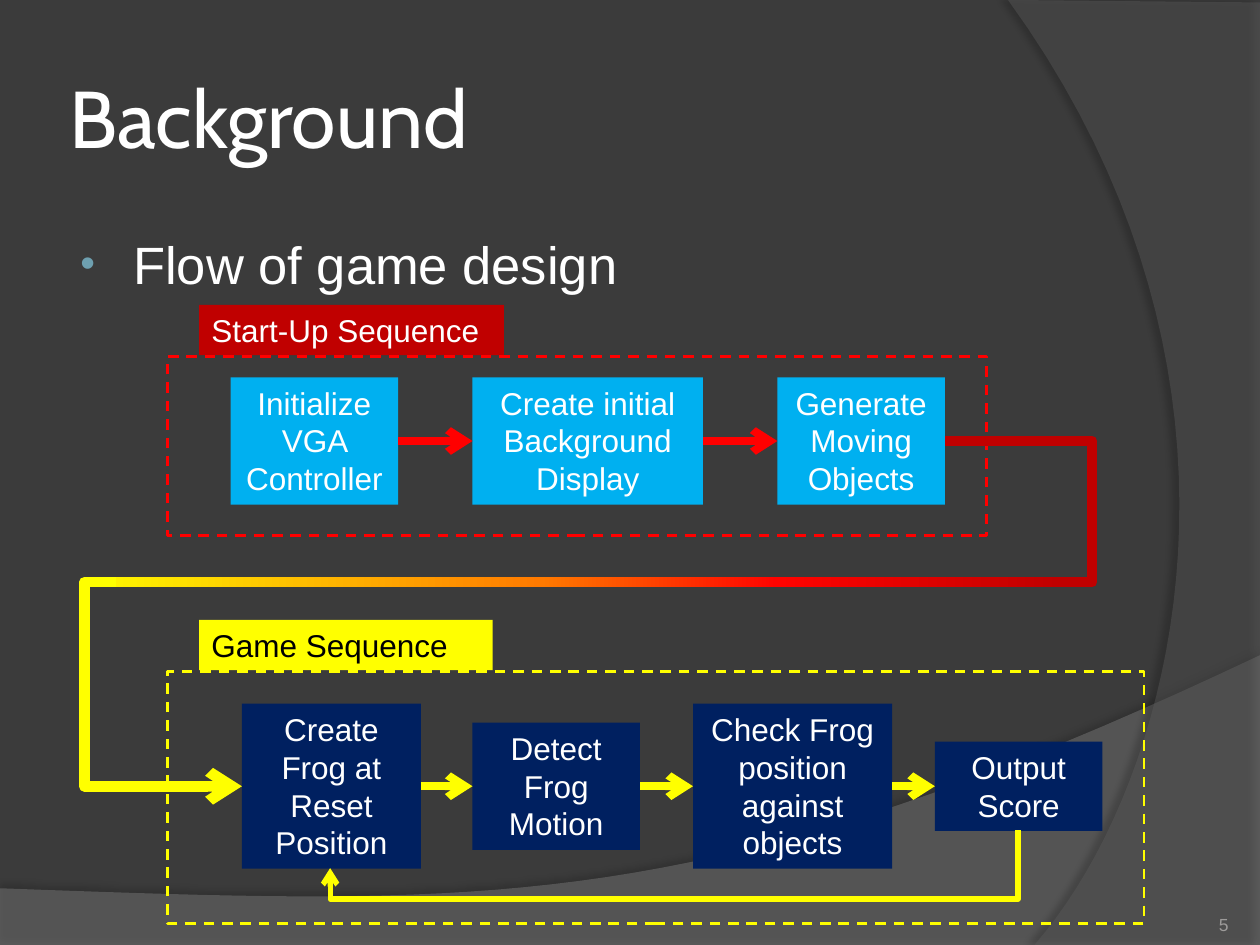
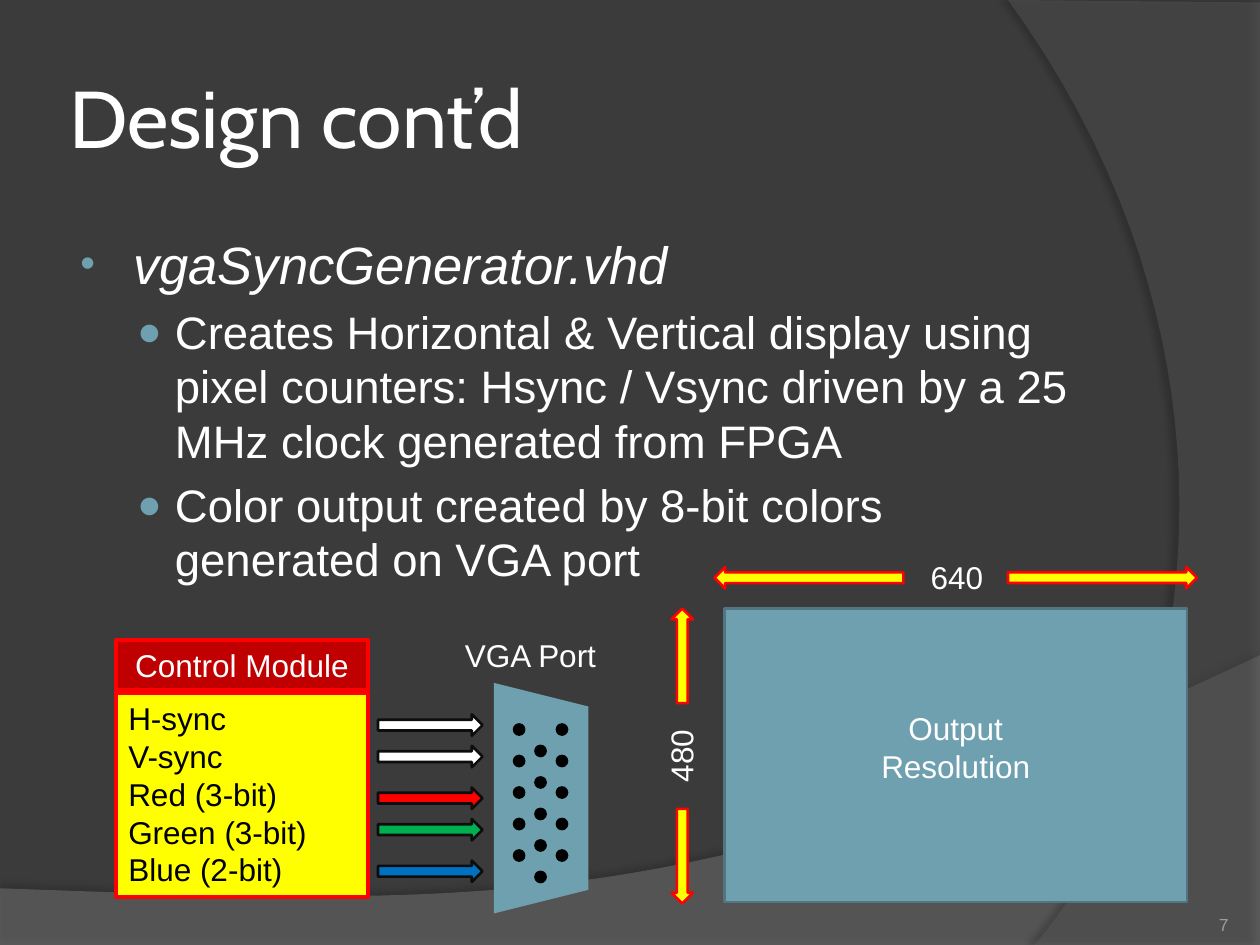
from dataclasses import dataclass
from itertools import pairwise
from typing import NamedTuple

from lxml.etree import SubElement
from pptx import Presentation
from pptx.dml.color import RGBColor
from pptx.enum.dml import MSO_LINE
from pptx.enum.shapes import MSO_CONNECTOR, MSO_SHAPE
from pptx.enum.text import MSO_ANCHOR, PP_ALIGN
from pptx.oxml.ns import qn
from pptx.util import Inches, Pt


@dataclass(frozen=True)
class Theme:
    back: str = "3B3B3B"
    swoosh_low: str = "7F7F7F"
    swoosh_right: str = "5E5E5E"
    white: str = "FFFFFF"
    black: str = "000000"
    outline: str = "0D0D0D"
    red: str = "FF0000"
    dark_red: str = "C00000"
    yellow: str = "FFFF00"
    green: str = "00B050"
    blue: str = "0070C0"
    sky: str = "00B0F0"
    navy: str = "002060"
    teal: str = "6EA0B0"
    teal_edge: str = "517682"
    number: str = "9D9B9A"
    font: str = "Arial"
    title_font: str = "Cabin"
    title_size: float = 46
    label_size: float = 18
    number_size: float = 10


T = Theme()


class Box(NamedTuple):
    x: float
    y: float
    w: float
    h: float

    def emu(self) -> list:
        return [Inches(v) for v in self]


class Step(NamedTuple):
    text: str
    x: float
    w: float
    h: float


class Arrow(NamedTuple):
    box: Box
    fill: str
    line: str
    rotation: int = 0


class Level(NamedTuple):
    size: float
    left: float
    hanging: float
    bullet: str
    bullet_pct: int


class Item(NamedTuple):
    text: str
    level: int = 0
    italic: bool = False


LEVELS = (Level(30, 0.46, 0.42, "•", 80), Level(26, 0.79, 0.3, "●", 90))


def rgb(color: str) -> RGBColor:
    return RGBColor.from_string(color)


# Text
def style(p, size: float, color: str, font: str = T.font, italic: bool = False) -> None:
    for r in p.runs:
        r.font.size, r.font.name, r.font.italic = Pt(size), font, italic
        r.font.color.rgb = rgb(color)


def write(sp, text: str, size: float = T.label_size, color: str = T.white,
          align=PP_ALIGN.CENTER, font: str = T.font, anchor=MSO_ANCHOR.TOP):
    tf = sp.text_frame
    tf.word_wrap = True
    tf.vertical_anchor = anchor
    tf.text = text
    for p in tf.paragraphs:
        p.alignment = align
        style(p, size, color, font)
    return tf


def add_label(slide, box: Box, text: str, rotation: int = 0) -> None:
    sp = slide.shapes.add_textbox(*box.emu())
    sp.rotation = rotation
    write(sp, text)


def add_bullets(slide, items: list[Item]) -> None:
    sp = slide.shapes.add_textbox(*Box(0.5, 1.75, 8.17, 4.95).emu())
    tf = sp.text_frame
    tf.word_wrap = True
    tf.margin_top = Inches(0.09)
    for i, item in enumerate(items):
        level = LEVELS[item.level]
        p = tf.paragraphs[0] if i == 0 else tf.add_paragraph()
        p.text = item.text
        p.level = item.level
        if i:
            p.space_before = Pt(level.size * 0.2)
        pPr = p._p.get_or_add_pPr()
        pPr.set("marL", str(Inches(level.left)))
        pPr.set("indent", str(-Inches(level.hanging)))
        SubElement(SubElement(pPr, qn("a:buClr")), qn("a:srgbClr"), val=T.teal)
        SubElement(pPr, qn("a:buSzPct"), val=str(level.bullet_pct * 1000))
        SubElement(pPr, qn("a:buFont"), typeface=T.font)
        SubElement(pPr, qn("a:buChar"), char=level.bullet)
        style(p, level.size, T.white, italic=item.italic)


# Shapes and lines
def paint(sp, fill: str | None, line: str | None = None, width: float = 1.5) -> None:
    sp.shadow.inherit = False
    if fill:
        sp.fill.solid()
        sp.fill.fore_color.rgb = rgb(fill)
    else:
        sp.fill.background()
    if line:
        sp.line.color.rgb = rgb(line)
        sp.line.width = Pt(width)
    else:
        sp.line.fill.background()


def add_shape(slide, kind, box: Box, fill: str | None, line: str | None = None,
              width: float = 1.5, rotation: int = 0):
    sp = slide.shapes.add_shape(kind, *box.emu())
    paint(sp, fill, line, width)
    sp.rotation = rotation
    return sp


def add_arrow(slide, arrow: Arrow) -> None:
    add_shape(slide, MSO_SHAPE.RIGHT_ARROW, arrow.box, arrow.fill, arrow.line,
              rotation=arrow.rotation)


def add_line(slide, start: tuple, end: tuple, color: str, width: float,
             head: bool = True, bend: float | None = None, rotation: int = 0):
    kind = MSO_CONNECTOR.STRAIGHT if bend is None else MSO_CONNECTOR.ELBOW
    c = slide.shapes.add_connector(kind, *(Inches(v) for v in start + end))
    c.line.color.rgb = rgb(color)
    c.line.width = Pt(width)
    spPr = c._element.spPr
    if head:
        SubElement(c.line._get_or_add_ln(), qn("a:tailEnd"), type="arrow")
    SubElement(spPr, qn("a:effectLst"))
    if bend is not None:
        guides = spPr.find(qn("a:prstGeom")).get_or_add_avLst()
        SubElement(guides, qn("a:gd"), name="adj1", fmla=f"val {round(bend * 100000)}")
    if rotation:
        spPr.find(qn("a:xfrm")).set("rot", str(rotation * 60000))
    return c


def add_chain(slide, steps: list[Step], middle: float, fill: str, color: str) -> None:
    """Draw a row of boxes centred on one height, joined by arrows."""
    boxes = []
    for s in steps:
        sp = add_shape(slide, MSO_SHAPE.RECTANGLE,
                       Box(s.x, middle - s.h / 2, s.w, s.h), fill)
        write(sp, s.text)
        boxes.append(sp)
    for (a, left), (b, right) in pairwise(zip(steps, boxes)):
        c = add_line(slide, (a.x + a.w, middle), (b.x, middle), color, 4.5)
        c.begin_connect(left, 3)
        c.end_connect(right, 1)


def add_group(slide, frame: Box, tab: Box, text: str, fill: str,
              text_color: str, line: str) -> None:
    """Draw a dashed frame with a heading tab above it."""
    write(add_shape(slide, MSO_SHAPE.RECTANGLE, tab, fill), text,
          color=text_color, align=PP_ALIGN.LEFT)
    sp = add_shape(slide, MSO_SHAPE.RECTANGLE, frame, None, line)
    sp.line.dash_style = MSO_LINE.DASH


# Shared slide frame
def curve(p0: tuple, p1: tuple, p2: tuple, p3: tuple, n: int = 40) -> list[tuple]:
    """Points along a cubic curve, without its start."""
    ts = [i / n for i in range(1, n + 1)]
    return [tuple((1 - t) ** 3 * a + 3 * (1 - t) ** 2 * t * b
                  + 3 * (1 - t) * t * t * c + t ** 3 * d
                  for a, b, c, d in zip(p0, p1, p2, p3)) for t in ts]


def add_swoosh(slide, points: list[tuple], color: str, opacity: int,
               shade: int, distance: float, direction: int) -> None:
    pts = [(Inches(x), Inches(y)) for x, y in points]
    fb = slide.shapes.build_freeform(*pts[0])
    fb.add_line_segments(pts[1:], close=True)
    sp = fb.convert_to_shape()
    paint(sp, color)
    spPr = sp._element.spPr
    clr = spPr.find(qn("a:solidFill")).find(qn("a:srgbClr"))
    SubElement(clr, qn("a:alpha"), val=str(opacity * 1000))
    shadow = SubElement(spPr.find(qn("a:effectLst")), qn("a:outerShdw"),
                        blurRad=str(Pt(4)), dist=str(Pt(distance)),
                        dir=str(direction * 60000), algn="ctr", rotWithShape="0")
    clr = SubElement(shadow, qn("a:srgbClr"), val=T.black)
    SubElement(clr, qn("a:alpha"), val=str(shade * 1000))


def new_slide(prs, title: str, number: int):
    slide = prs.slides.add_slide(prs.slide_layouts[6])
    low = [(0, 7.05), (0, 7.51), (10, 7.51), (10, 5.2)]
    low += curve((10, 5.2), (5.59, 7.29), (3.91, 7.19), (0, 7.05))
    add_swoosh(slide, low, T.swoosh_low, 45, 35, 3.5, 270)
    right = [(10, 0.02), (10, 7.5), (8.21, 7.5)]
    right += curve((8.21, 7.5), (9.35, 6.19), (10.18, 3), (8, 0))
    add_swoosh(slide, right, T.swoosh_right, 40, 45, 4, 180)

    sp = slide.shapes.add_textbox(*Box(0.5, 0.3, 8.17, 1.25).emu())
    tf = write(sp, title, T.title_size, align=PP_ALIGN.LEFT,
               font=T.title_font, anchor=MSO_ANCHOR.MIDDLE)
    tf.margin_left = tf.margin_right = Inches(0.05)
    sp = slide.shapes.add_textbox(*Box(8.92, 7.02, 0.83, 0.4).emu())
    tf = write(sp, str(number), T.number_size, T.number, PP_ALIGN.RIGHT,
               anchor=MSO_ANCHOR.BOTTOM)
    tf.margin_left = tf.margin_right = tf.margin_top = tf.margin_bottom = 0
    return slide


def build_background(prs) -> None:
    slide = new_slide(prs, "Background", 5)
    add_bullets(slide, [Item("Flow of game design")])

    # Start-up and game sequences
    add_group(slide, Box(1.33, 2.83, 6.5, 1.42), Box(1.58, 2.42, 2.42, 0.4),
              "Start-Up Sequence", T.dark_red, T.white, T.red)
    add_chain(slide, [Step("Initialize VGA Controller", 1.83, 1.33, 1.01),
                      Step("Create initial Background Display", 3.75, 1.83, 1.01),
                      Step("Generate Moving Objects", 6.17, 1.33, 1.01)],
              3.5, T.sky, T.red)
    add_group(slide, Box(1.33, 5.33, 7.75, 2), Box(1.58, 4.92, 2.33, 0.4),
              "Game Sequence", T.yellow, T.black, T.yellow)
    add_chain(slide, [Step("Create Frog at Reset Position", 1.92, 1.42, 1.31),
                      Step("Detect Frog Motion", 3.75, 1.33, 1.01),
                      Step("Check Frog position against objects", 5.5, 1.58, 1.31),
                      Step("Output Score", 7.42, 1.33, 0.71)],
              6.24, T.navy, T.yellow)

    # Link from start-up to game, fading from red to yellow
    add_line(slide, (7.5, 3.5), (8.42, 4.62), T.dark_red, 6, head=False, bend=1.27)
    add_line(slide, (0.92, 4.62), (1.92, 6.24), T.yellow, 6, bend=-0.25)
    bar = add_shape(slide, MSO_SHAPE.RECTANGLE, Box(0.92, 4.58, 7.5, 0.08), T.red)
    bar.fill.gradient()
    bar.fill.gradient_angle = 0
    stops = bar._element.spPr.find(qn("a:gradFill")).find(qn("a:gsLst"))
    for old in list(stops):
        stops.remove(old)
    for pos, color in ((0, "FFF200"), (45, "FF7A00"), (70, "FF0300"), (100, T.dark_red)):
        gs = SubElement(stops, qn("a:gs"), pos=str(pos * 1000))
        SubElement(gs, qn("a:srgbClr"), val=color)

    # Loop back from score to reset, turned a quarter
    add_line(slide, (5.2, 4.01), (5.5, 9.47), T.yellow, 3, bend=1.82, rotation=90)


def build_design(prs) -> None:
    slide = new_slide(prs, "Design cont’d", 7)
    add_bullets(slide, [
        Item("vgaSyncGenerator.vhd", italic=True),
        Item("Creates Horizontal & Vertical display using pixel counters: "
             "Hsync / Vsync driven by a 25 MHz clock generated from FPGA", 1),
        Item("Color output created by 8-bit colors generated on VGA port", 1)])

    # Screen with its dimensions
    add_label(slide, Box(7.18, 4.38, 0.83, 0.4), "640")
    add_label(slide, Box(4.99, 5.8, 0.83, 0.4), "480", 270)
    for x, y, w, turn in ((8, 4.5, 1.5, 0), (5.67, 4.5, 1.5, 180),
                          (5.04, 6.71, 0.75, 90), (5.04, 5.12, 0.75, 270)):
        add_arrow(slide, Arrow(Box(x, y, w, 0.17), T.yellow, T.red, turn))
    add_shape(slide, MSO_SHAPE.RECTANGLE, Box(5.75, 4.83, 3.67, 2.33), T.teal, T.teal_edge)
    add_label(slide, Box(6.75, 5.58, 1.67, 0.71), "Output Resolution")

    # Control module and its signals
    sp = add_shape(slide, MSO_SHAPE.RECTANGLE, Box(0.92, 5.08, 2, 0.4),
                   T.dark_red, T.red, 2.25)
    write(sp, "Control Module")
    sp = add_shape(slide, MSO_SHAPE.RECTANGLE, Box(0.92, 5.5, 2, 1.62),
                   T.yellow, T.red, 2.25)
    write(sp, "H-sync\nV-sync\nRed (3-bit)\nGreen (3-bit)\nBlue (2-bit)",
          color=T.black, align=PP_ALIGN.LEFT)
    for y, color in ((5.67, T.white), (5.92, T.white), (6.25, T.red),
                     (6.5, T.green), (6.83, T.blue)):
        add_arrow(slide, Arrow(Box(3, y, 0.83, 0.17), color, T.outline))

    # VGA port with three columns of pins
    add_label(slide, Box(3.5, 5, 1.42, 0.4), "VGA Port")
    add_shape(slide, MSO_SHAPE.TRAPEZOID, Box(3.38, 5.96, 1.83, 0.75), T.teal, rotation=90)
    for x, top in ((4.08, 5.75), (4.25, 5.92), (4.42, 5.75)):
        for row in range(5):
            add_shape(slide, MSO_SHAPE.OVAL, Box(x, top + row * 0.25, 0.08, 0.08),
                      T.black, T.black)


def main() -> None:
    prs = Presentation()
    prs.slide_width, prs.slide_height = Inches(10), Inches(7.5)
    fill = prs.slide_master.background.fill
    fill.solid()
    fill.fore_color.rgb = rgb(T.back)
    build_background(prs)
    build_design(prs)
    prs.save("out.pptx")


if __name__ == "__main__":
    main()
